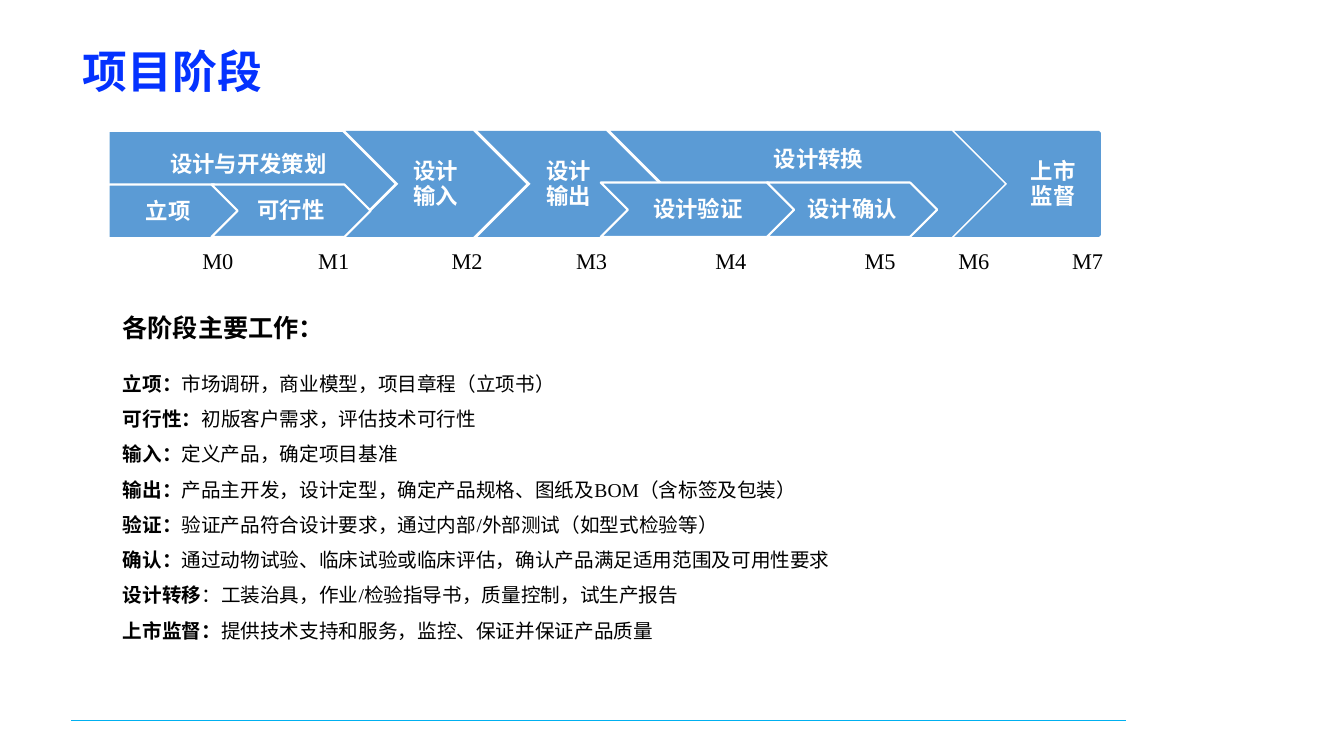
from lxml import etree
from pptx import Presentation
from pptx.dml.color import RGBColor
from pptx.enum.shapes import MSO_CONNECTOR, MSO_SHAPE as Preset
from pptx.enum.text import MSO_ANCHOR as Anchor, MSO_AUTO_SIZE as AutoSize, PP_ALIGN as Align
from pptx.oxml.ns import qn
from pptx.util import Cm, Pt

CJK, LATIN = "Noto Sans CJK SC", "Times New Roman"
BLUE, WHITE, BLACK = "5B9BD5", "FFFFFF", "000000"


def rgb(value):
    return RGBColor.from_string(value)


def style(frame, size, color, font=LATIN, bold=None, align=Align.LEFT, spacing=None):
    """Format every run; bold=None keeps the weight already set."""
    for paragraph in frame.paragraphs:
        paragraph.alignment = align
        paragraph.space_before = Pt(0)
        if spacing:
            paragraph.line_spacing = spacing
        for run in paragraph.runs:
            run.font.size, run.font.name = Pt(size), font
            run.font.color.rgb = rgb(color)
            if bold is not None:
                run.font.bold = bold
            east_asian = etree.SubElement(run.font._element, qn("a:ea"))
            east_asian.set("typeface", CJK)


prs = Presentation()
prs.slide_width, prs.slide_height = Cm(33.87), Cm(19.05)
slide = prs.slides.add_slide(prs.slide_layouts[1])
shapes = slide.shapes
title, tasks = slide.placeholders

# Footer rule
rule = shapes.add_connector(MSO_CONNECTOR.STRAIGHT, Cm(1.8), Cm(18.16), Cm(28.37), Cm(18.16))
rule.line.color.rgb = rgb("00B0F0")
rule.line.width = Pt(0.5)
etree.SubElement(rule._element.spPr, qn("a:effectLst"))

# Title
title.left, title.top, title.width, title.height = Cm(1.83), Cm(0.97), Cm(30.2), Cm(1.63)
title.text_frame.text = "项目阶段"
title.text_frame.auto_size = AutoSize.NONE
title.text_frame.vertical_anchor = Anchor.MIDDLE
style(title.text_frame, 32, "0432FF", CJK, True)

# Phase arrows, back to front: preset, text, left, top, width, height, fill, outline width
TOP, TALL = 3.3, 2.67
phases = [
    (Preset.CHEVRON, "设计输出", 12.04, TOP, 4.57, TALL, BLUE, 0),
    (Preset.CHEVRON, "", 15.39, TOP, 9.93, TALL, BLUE, 0),
    (Preset.PENTAGON, "", 2.74, TOP, 7.24, TALL, BLUE, 1.5),
    (Preset.CHEVRON, "设计输入", 8.71, TOP, 4.55, TALL, BLUE, 0),
    (Preset.CHEVRON, "设计验证", 15.14, 4.6, 4.9, 1.37, BLUE, 1.5),
    (Preset.CHEVRON, "上市\n监督", 24.05, TOP, 4.98, TALL, BLUE, 0),
    (Preset.RECTANGLE, "", 27.76, TOP, 1.6, 2.84, WHITE, 1),
    (Preset.CHEVRON, "设计确认", 19.33, 4.6, 4.29, 1.37, BLUE, 1.5),
    (Preset.PENTAGON, "立项", 2.74, 4.65, 3.33, 1.35, BLUE, 1.5),
    (Preset.CHEVRON, "可行性", 5.33, 4.65, 4.01, 1.32, BLUE, 1.5),
]
for preset, name, left, top, width, height, fill, outline in phases:
    phase = shapes.add_shape(preset, Cm(left), Cm(top), Cm(width), Cm(height))
    phase.shadow.inherit = False
    phase.fill.solid()
    phase.fill.fore_color.rgb = rgb(fill)
    if outline:
        phase.line.color.rgb = rgb(WHITE)
        phase.line.width = Pt(outline)
    else:
        phase.line.fill.background()
    if name:
        phase.text_frame.text = name
        phase.text_frame.vertical_anchor = Anchor.MIDDLE
        style(phase.text_frame, 16, WHITE, bold=True, align=Align.CENTER, spacing=Pt(18))

# Names of the phases that span smaller ones
for name, left, top, width in [("设计转换", 19.25, 3.53, 2.79), ("设计与开发策划", 4.04, 3.66, 4.5)]:
    span = shapes.add_textbox(Cm(left), Cm(top), Cm(width), Cm(0.94)).text_frame
    span.text = name
    span.word_wrap = False
    style(span, 16, WHITE, CJK, True)

# Milestones M0 to M7
for number, left in enumerate([4.85, 7.77, 11.13, 14.27, 17.78, 21.54, 23.9, 26.77]):
    milestone = shapes.add_textbox(Cm(left), Cm(6.15), Cm(1.7), Cm(1.45)).text_frame
    milestone.text = f"M{number}"
    milestone.word_wrap = True
    style(milestone, 16, BLACK, align=Align.JUSTIFY, spacing=Pt(18))

# Heading of the task list
heading = shapes.add_textbox(Cm(2.84), Cm(7.37), Cm(15.11), Cm(2.18)).text_frame
heading.text = "各阶段主要工作："
heading.word_wrap = True
style(heading, 18, BLACK, bold=True, align=Align.JUSTIFY, spacing=1.5)

# Main tasks of each phase
work = [
    ("立项：", "市场调研，商业模型，项目章程（立项书）"),
    ("可行性：", "初版客户需求，评估技术可行性"),
    ("输入：", "定义产品，确定项目基准"),
    ("输出：", "产品主开发，设计定型，确定产品规格、图纸及BOM（含标签及包装）"),
    ("验证：", "验证产品符合设计要求，通过内部/外部测试（如型式检验等）"),
    ("确认：", "通过动物试验、临床试验或临床评估，确认产品满足适用范围及可用性要求"),
    ("设计转移", "：工装治具，作业/检验指导书，质量控制，试生产报告"),
    ("上市监督：", "提供技术支持和服务，监控、保证并保证产品质量"),
]
tasks.left, tasks.top, tasks.width, tasks.height = Cm(2.84), Cm(8.94), Cm(19.15), Cm(8.2)
tasks.text_frame.text = "\n".join(phase_name for phase_name, _ in work)
tasks.text_frame.auto_size = AutoSize.NONE
for paragraph, (_, duty) in zip(tasks.text_frame.paragraphs, work):
    paragraph.runs[0].font.bold = True
    paragraph.add_run().text = duty
style(tasks.text_frame, 14, BLACK, align=Align.JUSTIFY, spacing=1.5)
for paragraph in tasks.text_frame.paragraphs:
    properties = paragraph._p.get_or_add_pPr()
    properties.set("marL", "0")
    properties.set("indent", "0")
    etree.SubElement(properties, qn("a:buNone"))

prs.save("out.pptx")
